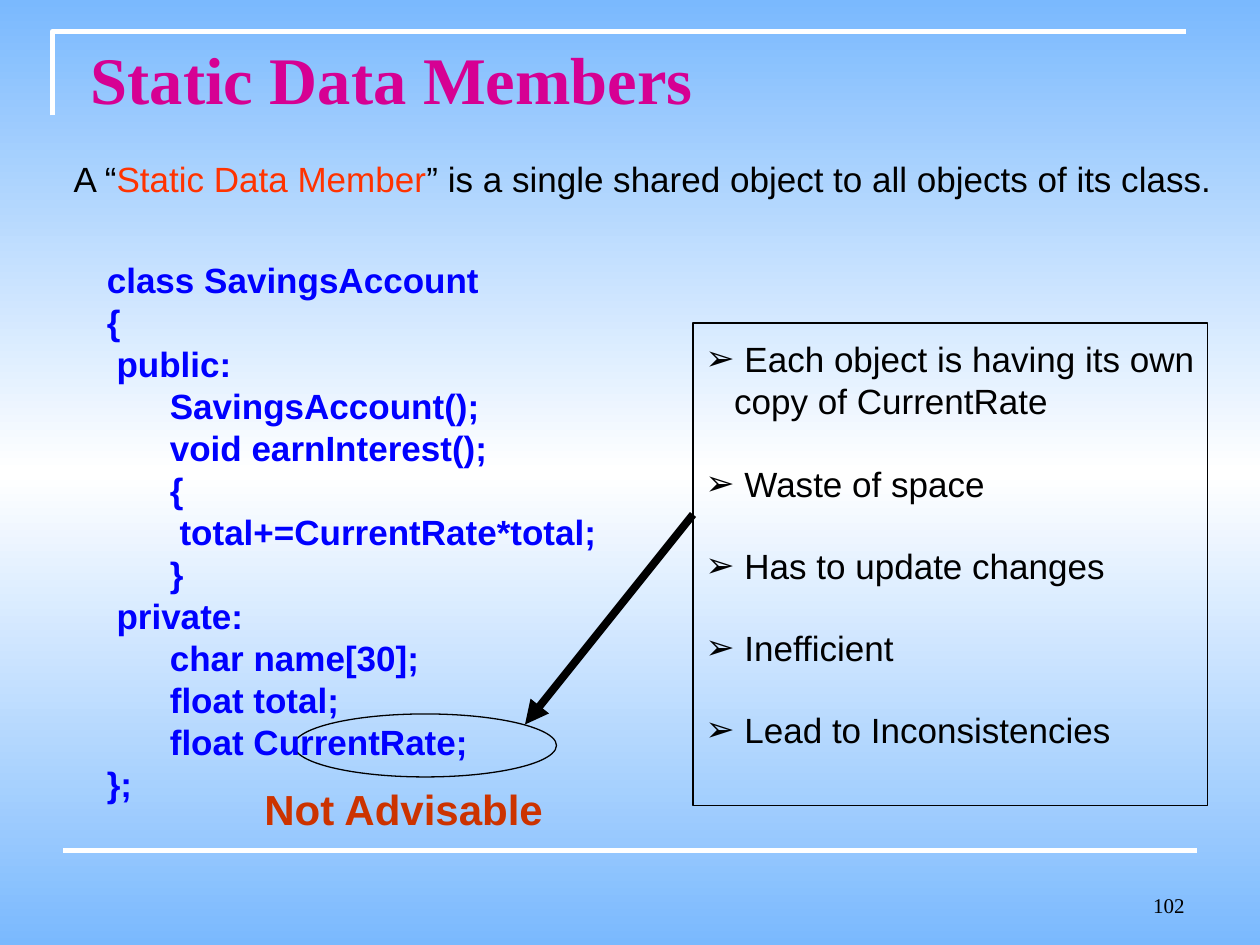
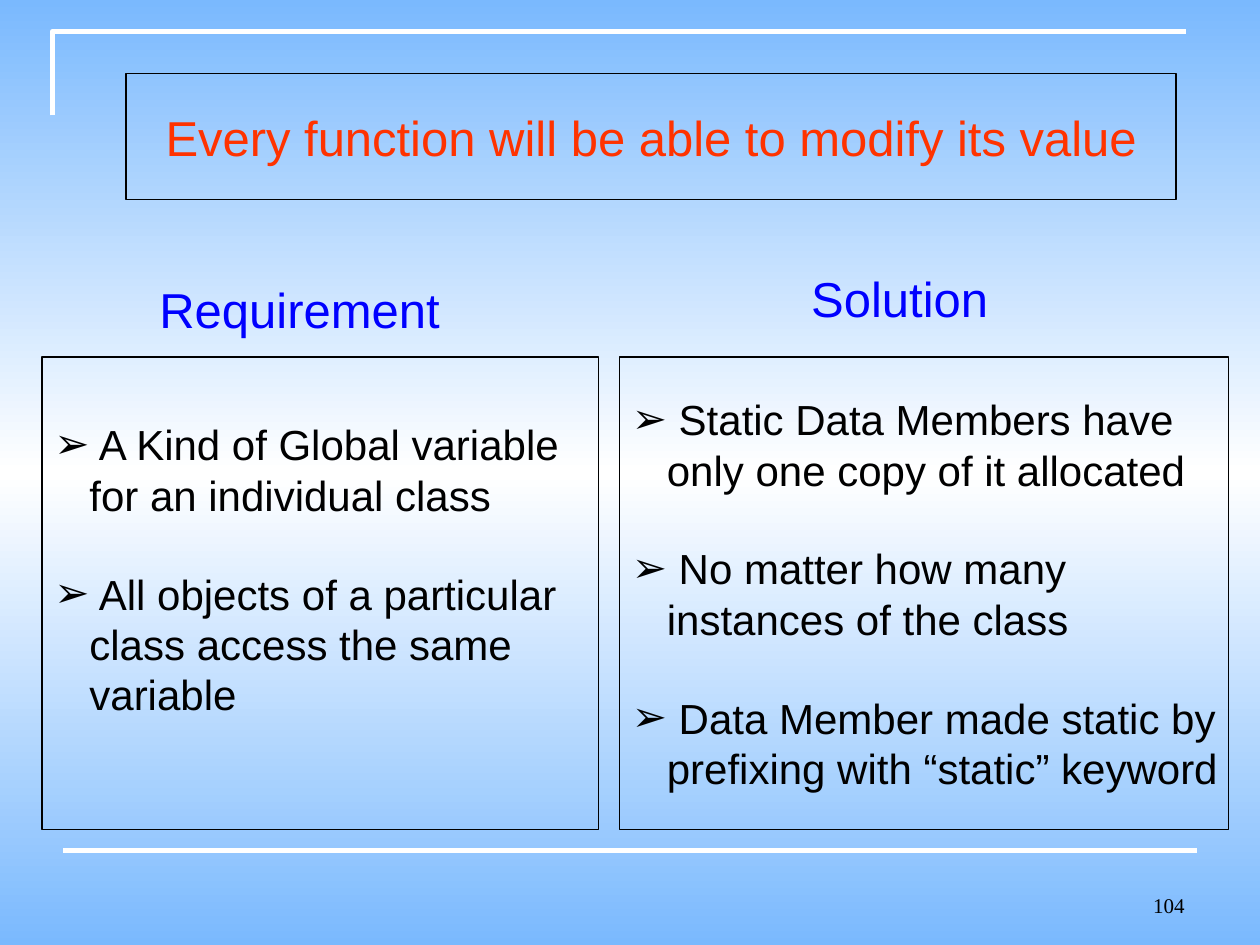
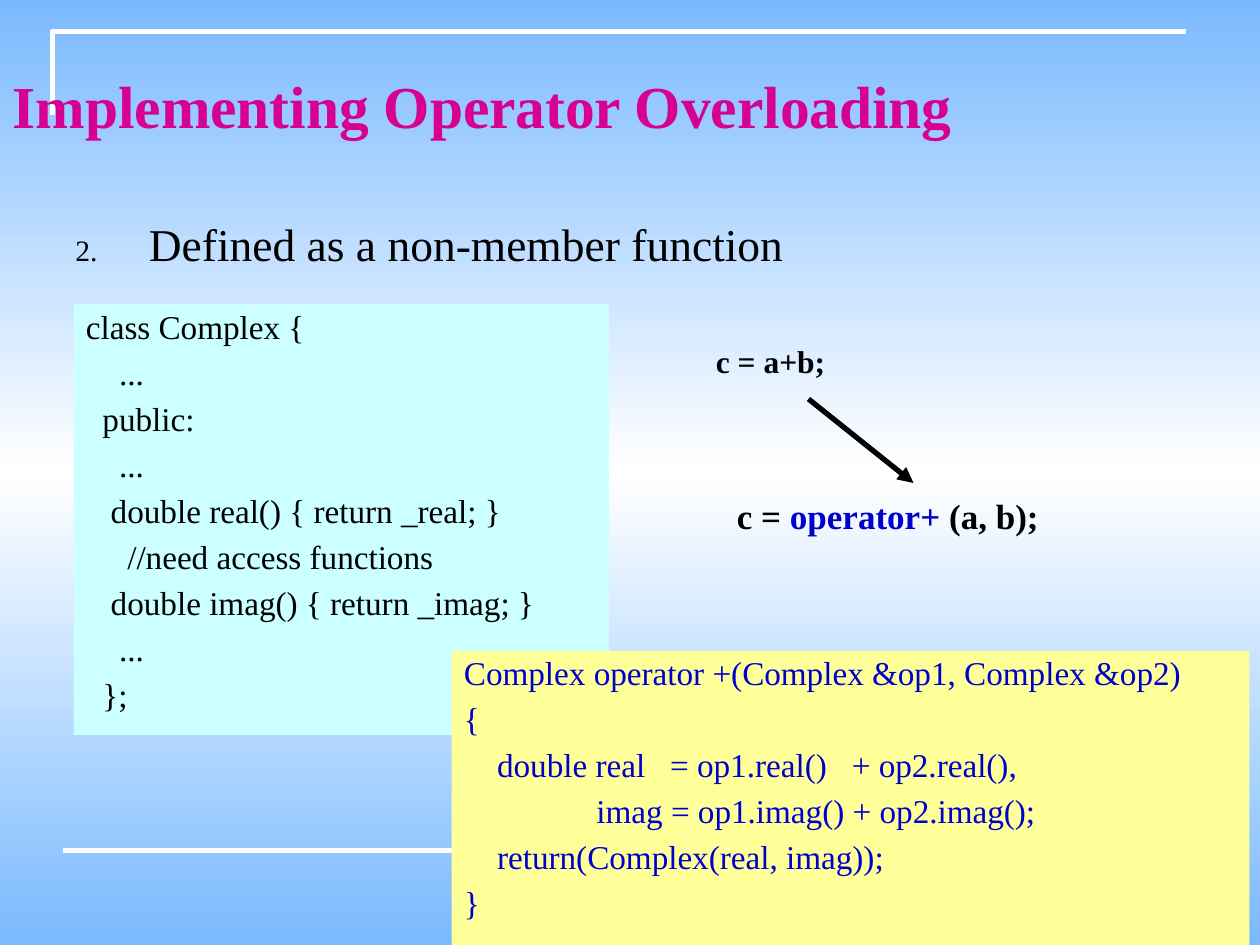
from lxml import etree
from copy import deepcopy
from pptx import Presentation
from pptx.dml.color import RGBColor
from pptx.enum.dml import MSO_LINE
from pptx.enum.shapes import MSO_CONNECTOR, MSO_SHAPE
from pptx.enum.text import MSO_ANCHOR, MSO_AUTO_SIZE, PP_ALIGN
from pptx.oxml.ns import qn
from pptx.util import Pt

LEFT, CENTER, RIGHT = PP_ALIGN.LEFT, PP_ALIGN.CENTER, PP_ALIGN.RIGHT
TOP, MIDDLE, BOTTOM = MSO_ANCHOR.TOP, MSO_ANCHOR.MIDDLE, MSO_ANCHOR.BOTTOM
STRAIGHT, SOLID = MSO_CONNECTOR.STRAIGHT, MSO_LINE.SOLID
RECTANGLE, OVAL = MSO_SHAPE.RECTANGLE, MSO_SHAPE.OVAL

SANS, SERIF = "Arial", "Times New Roman"
BLACK, WHITE, SKY = "000000", "FFFFFF", "7AB9FE"
MAGENTA, BLUE, NAVY = "D60093", "0000FF", "0000CC"
ORANGE, RUST = "FF3300", "CC3300"
MINT, YELLOW = "CCFFFF", "FFFF99"

ARROW_BULLET = [("buFont", {"typeface": SANS}), ("buChar", {"char": "➢"})]
SECOND_ITEM = [("buSzPct", {"val": "65000"}),
               ("buAutoNum", {"type": "arabicPeriod", "startAt": "2"})]
TITLE_STYLE = {"font": SERIF, "color": MAGENTA, "bold": True}
CODE_STYLE = {"font": SERIF, "size": 19, "line_spacing": 0.9, "space_before": 5.75}


def rgb(value):
    return RGBColor.from_string(value)


def write(shape, paragraphs, size=20, color=BLACK, font=SANS, bold=False,
          align=LEFT, anchor=TOP, line_spacing=None, space_before=0,
          indent=0, bullet=(), right=7.2, bottom=3.6):
    """Fill a shape; a paragraph is a string or a list of (text, color) spans."""
    frame = shape.text_frame
    frame.word_wrap = True
    frame.auto_size = MSO_AUTO_SIZE.NONE
    frame.vertical_anchor = anchor
    frame.margin_left, frame.margin_right = Pt(7.2), Pt(right)
    frame.margin_top, frame.margin_bottom = Pt(3.6), Pt(bottom)
    for index, spans in enumerate(paragraphs):
        para = frame.add_paragraph() if index else frame.paragraphs[0]
        properties = para._p.get_or_add_pPr()
        if bullet:
            properties.set("marL", str(Pt(indent)))
            properties.set("indent", str(-Pt(indent)))
            for tag, attributes in bullet:
                etree.SubElement(properties, qn("a:" + tag), attributes)
        para.alignment = align
        para.space_before = Pt(space_before if index else 0)
        if line_spacing:
            para.line_spacing = line_spacing
        if isinstance(spans, str):
            spans = [(spans, color)]
        for text, span_color in spans:
            span = para.add_run()
            span.text = text
            span.font.name, span.font.size, span.font.bold = font, Pt(size), bold
            span.font.color.rgb = rgb(span_color)


deck = Presentation()
deck.slide_width, deck.slide_height = Pt(720), Pt(540)

# Shared background: sky blue fading to white in the middle
background = deck.slide_master.background.fill
background.gradient()
background.gradient_angle = 90
first_stop = background.gradient_stops[0]._gs
first_stop.addnext(deepcopy(first_stop))
for stop, position, color in zip(background.gradient_stops, (0, 0.5, 1), (SKY, WHITE, SKY)):
    stop.position = position
    stop.color.rgb = rgb(color)

# Shared frame, title and slide number
slides = [
    ("Static Data Members", (30, 18, 388, 98), "102",
     {**TITLE_STYLE, "size": 38, "align": CENTER}),
    ("Every function will be able to modify its value", (72, 42, 600, 72), "104",
     {"size": 28, "color": ORANGE, "align": CENTER, "anchor": MIDDLE}),
    ("Implementing Operator Overloading", (0, 30, 720, 60), None,
     {**TITLE_STYLE, "size": 34, "anchor": MIDDLE}),
]
pages = []
connectors = []
for title_text, place, number, style in slides:
    page = deck.slides.add_slide(deck.slide_layouts[5])
    pages.append(page)

    builder = page.shapes.build_freeform(Pt(30), Pt(66))
    builder.add_line_segments([(Pt(30), Pt(18)), (Pt(678), Pt(18))], close=False)
    corner = builder.convert_to_shape()
    corner.shadow.inherit = False
    corner.fill.background()
    corner.line.color.rgb, corner.line.width = rgb(WHITE), Pt(3)

    base = page.shapes.add_connector(STRAIGHT, Pt(36), Pt(486), Pt(684), Pt(486))
    base.line.color.rgb, base.line.width = rgb(WHITE), Pt(3)
    connectors.append(base)

    if number:
        number_box = page.shapes.add_textbox(Pt(516), Pt(492), Pt(168), Pt(36))
        write(number_box, [number], size=12, font=SERIF, align=RIGHT, anchor=BOTTOM)

    title = page.shapes.title
    title.left, title.top, title.width, title.height = map(Pt, place)
    write(title, [title_text], **style)
    title.element.getparent().append(title.element)  # in front of the frame

members, solution, overloading = pages
solution.shapes.title.line.color.rgb = rgb(BLACK)
solution.shapes.title.line.width = Pt(0.75)

# Outlined and filled shapes: page, preset, place, fill, paragraphs, format
drawbacks = [" Each object is having its own copy of CurrentRate", " Waste of space",
             " Has to update changes", " Inefficient", " Lead to Inconsistencies"]
requirements = [" A Kind of Global variable for an individual class",
                " All objects of a particular class access the same variable"]
answers = [" Static Data Members have only one copy of it allocated",
           " No matter how many instances of the class",
           " Data Member made static by prefixing with “static” keyword"]
complex_class = ["class Complex {", "    ...", "  public:", "    ...",
                 "   double real() { return _real; }", "     //need access functions",
                 "   double imag() { return _imag; }", "    ...", "  };"]
complex_plus = ["Complex operator +(Complex &op1, Complex &op2)", "{",
                "    double real   = op1.real()   + op2.real(),",
                "                imag = op1.imag() + op2.imag();",
                "    return(Complex(real, imag));", "}"]
list_style = {"bullet": ARROW_BULLET, "anchor": MIDDLE, "right": 0}
small_list = {**list_style, "size": 20, "indent": 16.5, "space_before": 23}
large_list = {**list_style, "size": 24, "indent": 20, "space_before": 27.6}
shapes = [
    (members, RECTANGLE, (396, 184.5, 294, 276), None, drawbacks,
     {**small_list, "bottom": 26.6}),
    (members, OVAL, (168, 408, 150, 36), None, [], {}),
    (solution, RECTANGLE, (24, 204, 318, 270), None, requirements,
     {**large_list, "bottom": 31.2}),
    (solution, RECTANGLE, (354, 204, 348, 270), None, answers, large_list),
    (overloading, RECTANGLE, (42, 174, 306, 246), MINT, complex_class, CODE_STYLE),
    (overloading, RECTANGLE, (258, 372, 456, 168), YELLOW, complex_plus,
     {**CODE_STYLE, "color": NAVY}),
]
for page, preset, place, fill, paragraphs, style in shapes:
    shape = page.shapes.add_shape(preset, *map(Pt, place))
    shape.shadow.inherit = False
    if fill:
        shape.fill.solid()
        shape.fill.fore_color.rgb = rgb(fill)
        shape.line.fill.background()
    else:
        shape.fill.background()
        shape.line.color.rgb, shape.line.width = rgb(BLACK), Pt(0.75)
    write(shape, paragraphs, **style)

# Text boxes: page, place, paragraphs, format
savings_class = ["class SavingsAccount", "{", " public:", "\tSavingsAccount();",
                 "\tvoid earnInterest();", "\t{", "\t total+=CurrentRate*total;", "\t}",
                 " private:", "\tchar name[30];", "\tfloat total;",
                 "\tfloat CurrentRate;", "};"]
definition = [("A “", BLACK), ("Static Data Member", ORANGE),
              ("” is a single shared object to all objects of its class.", BLACK)]
operator_call = [("c = ", BLACK), ("operator+", NAVY), (" (a, b);", BLACK)]
heading = {"size": 28, "color": BLUE}
texts = [
    (members, (35, 86.5, 675, 31.5), [definition], {}),
    (members, (54, 144, 340, 343), savings_class, {"color": BLUE, "bold": True}),
    (members, (144, 444, 306, 36), ["Not Advisable"],
     {"size": 24, "color": RUST, "bold": True}),
    (solution, (84, 156, 190, 41), ["Requirement"], heading),
    (solution, (456.5, 150, 130, 41), ["Solution"], heading),
    (overloading, (36, 126, 648, 36), ["Defined as a non-member function"],
     {"size": 26, "font": SERIF, "line_spacing": 0.8, "indent": 42, "bullet": SECOND_ITEM}),
    (overloading, (402, 192, 85, 29), ["c = a+b;"],
     {"size": 18, "font": SERIF, "bold": True}),
    (overloading, (414, 282, 222, 29), [operator_call],
     {"font": SERIF, "bold": True, "line_spacing": 0.9}),
]
for page, place, paragraphs, style in texts:
    box = page.shapes.add_textbox(*map(Pt, place))
    write(box, paragraphs, **style)

# Arrows: page, from and to, width
for page, ends, width in [(members, (396, 294, 300, 414), 4.5),
                          (overloading, (462, 228, 522, 276), 3)]:
    arrow = page.shapes.add_connector(STRAIGHT, *map(Pt, ends))
    arrow.line.color.rgb, arrow.line.width = rgb(BLACK), Pt(width)
    arrow.line.dash_style = SOLID
    etree.SubElement(arrow.line._get_or_add_ln(), qn("a:tailEnd"), {"type": "triangle"})
    connectors.append(arrow)

for connector in connectors:
    etree.SubElement(connector.element.spPr, qn("a:effectLst"))

deck.save("out.pptx")
